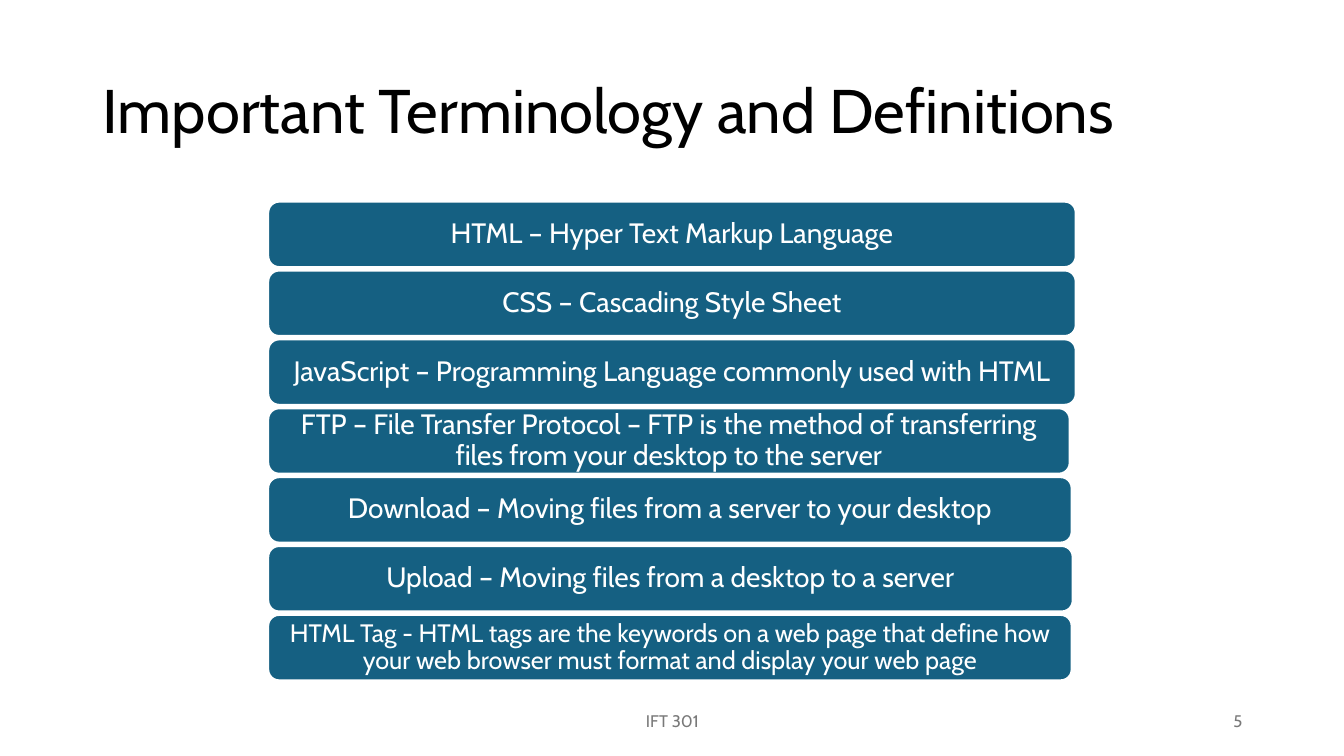
"""Build the slide of important web terminology and definitions."""
from pptx import Presentation
from pptx.dml.color import RGBColor
from pptx.enum.shapes import MSO_SHAPE
from pptx.enum.text import MSO_ANCHOR, PP_ALIGN
from pptx.util import Inches, Pt

BLACK = RGBColor(0x00, 0x00, 0x00)
WHITE = RGBColor(0xFF, 0xFF, 0xFF)
GREY = RGBColor(0x79, 0x79, 0x79)
TEAL = RGBColor(0x15, 0x60, 0x82)

FIRST_TOP = 2
LAST_TOP = 6.1
TERMS = [
    ("HTML – Hyper Text Markup Language", 8.01, 20),
    ("CSS – Cascading Style Sheet", 8.01, 20),
    ("JavaScript – Programming Language commonly used with HTML", 8.01, 20),
    ("FTP – File Transfer Protocol – FTP is the method of transferring "
     "files from your desktop to the server", 7.95, 20),
    ("Download – Moving files from a server to your desktop", 7.97, 20),
    ("Upload – Moving files from a desktop to a server", 7.98, 20),
    ("HTML Tag - HTML tags are the keywords on a web page that define how "
     "your web browser must format and display your web page", 7.97, 18),
]


def write(box, text, size, color, align, spacing=1.0, insets=(0.1, 0.05)):
    frame = box.text_frame
    side, end = map(Inches, insets)
    layout = {
        "word_wrap": True,
        "vertical_anchor": MSO_ANCHOR.MIDDLE,
        "margin_left": side,
        "margin_right": side,
        "margin_top": end,
        "margin_bottom": end,
    }
    for name, value in layout.items():
        setattr(frame, name, value)
    para = frame.paragraphs[0]
    para.alignment = align
    para.line_spacing = spacing
    span = para.add_run()
    span.text = text
    span.font.color.rgb = color
    for name, value in {"name": "Cabin", "size": Pt(size)}.items():
        setattr(span.font, name, value)


deck = Presentation()
deck.slide_width = Inches(13.33)
deck.slide_height = Inches(7.5)
page = deck.slides.add_slide(deck.slide_layouts[6])

title = page.shapes.add_textbox(Inches(0.92), Inches(0.4), Inches(11.5), Inches(1.45))
write(title, "Important Terminology and Definitions", 44, BLACK, PP_ALIGN.LEFT, 0.9)

pitch = (LAST_TOP - FIRST_TOP) / (len(TERMS) - 1)
for row, (text, width, size) in enumerate(TERMS):
    bar = page.shapes.add_shape(
        MSO_SHAPE.ROUNDED_RECTANGLE,
        Inches(2.66), Inches(FIRST_TOP + row * pitch), Inches(width), Inches(0.65),
    )
    bar.shadow.inherit = False
    bar.fill.solid()
    bar.fill.fore_color.rgb = TEAL
    bar.line.color.rgb = WHITE
    bar.line.width = Pt(1.5)
    write(bar, text, size, WHITE, PP_ALIGN.CENTER, 0.9, (0.08, 0.04))

for text, left, width, align in [
    ("IFT 301", 4.42, 4.5, PP_ALIGN.CENTER),
    ("5", 9.42, 3, PP_ALIGN.RIGHT),
]:
    footer = page.shapes.add_textbox(Inches(left), Inches(6.95), Inches(width), Inches(0.4))
    write(footer, text, 12, GREY, align)

deck.save("out.pptx")
